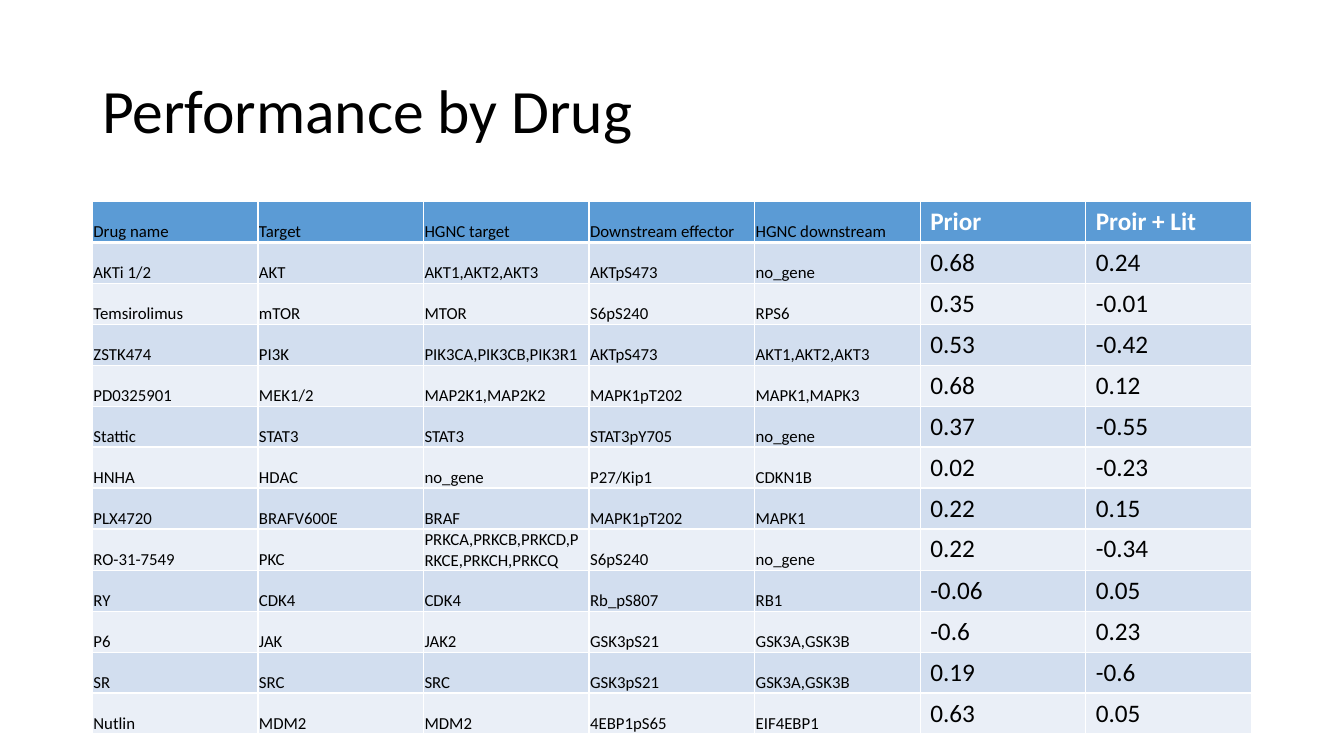
from dataclasses import astuple, dataclass

import lxml.etree
import pptx
import pptx.dml.color
import pptx.enum.text
import pptx.oxml.ns
import pptx.util

Pt = pptx.util.Pt
ANCHOR = pptx.enum.text.MSO_ANCHOR
HUES = {"ink": "000000", "white": "FFFFFF", "head": "5B9BD5", "odd": "D2DEEF", "even": "EAEFF7"}
LEFT, WIDTH = 66, 828
TOP, HEIGHT = 144, 29.23
TITLE = {"size": Pt(44), "name": "Calibri", "bold": False}
LABEL = {"size": Pt(12), "name": "Calibri", "bold": False}
SCORE = {"size": Pt(18), "name": "Calibri", "bold": False}
TIGHT = {
    "vertical_anchor": ANCHOR.BOTTOM,
    "margin_left": Pt(0.75),
    "margin_right": Pt(0.75),
    "margin_top": Pt(0.75),
    "margin_bottom": Pt(0),
}
LOOSE = {
    "vertical_anchor": ANCHOR.TOP,
    "margin_left": Pt(7.2),
    "margin_right": Pt(7.2),
    "margin_top": Pt(3.6),
    "margin_bottom": Pt(3.6),
}


@dataclass
class Drug:
    name: str
    target: str
    genes: str
    marker: str
    marker_genes: str
    prior: str
    both: str


DRUGS = [
    Drug("Drug name", "Target", "HGNC target", "Downstream effector", "HGNC downstream", "Prior", "Proir + Lit"),
    Drug("AKTi 1/2", "AKT", "AKT1,AKT2,AKT3", "AKTpS473", "no_gene", "0.68", "0.24"),
    Drug("Temsirolimus", "mTOR", "MTOR", "S6pS240", "RPS6", "0.35", "-0.01"),
    Drug("ZSTK474", "PI3K", "PIK3CA,PIK3CB,PIK3R1", "AKTpS473", "AKT1,AKT2,AKT3", "0.53", "-0.42"),
    Drug("PD0325901", "MEK1/2", "MAP2K1,MAP2K2", "MAPK1pT202", "MAPK1,MAPK3", "0.68", "0.12"),
    Drug("Stattic", "STAT3", "STAT3", "STAT3pY705", "no_gene", "0.37", "-0.55"),
    Drug("HNHA", "HDAC", "no_gene", "P27/Kip1", "CDKN1B", "0.02", "-0.23"),
    Drug("PLX4720", "BRAFV600E", "BRAF", "MAPK1pT202", "MAPK1", "0.22", "0.15"),
    Drug("RO-31-7549", "PKC", "PRKCA,PRKCB,PRKCD,PRKCE,PRKCH,PRKCQ", "S6pS240", "no_gene", "0.22", "-0.34"),
    Drug("RY", "CDK4", "CDK4", "Rb_pS807", "RB1", "-0.06", "0.05"),
    Drug("P6", "JAK", "JAK2", "GSK3pS21", "GSK3A,GSK3B", "-0.6", "0.23"),
    Drug("SR", "SRC", "SRC", "GSK3pS21", "GSK3A,GSK3B", "0.19", "-0.6"),
    Drug("Nutlin", "MDM2", "MDM2", "4EBP1pS65", "EIF4EBP1", "0.63", "0.05"),
]


def apply(item: object, format: dict) -> None:
    for key, value in format.items():
        setattr(item, key, value)


def tint(hue: str) -> pptx.dml.color.RGBColor:
    return pptx.dml.color.RGBColor.from_string(HUES[hue])


def write(frame, text: str, format: dict, hue: str):
    line = frame.paragraphs[0]
    run = line.add_run()
    run.text = text
    apply(run.font, format)
    run.font.color.rgb = tint(hue)
    return line


def edge(cell, side: str, points: float) -> None:
    qn = pptx.oxml.ns.qn
    props = cell._tc.get_or_add_tcPr()
    line = lxml.etree.SubElement(props, qn(f"a:ln{side}"), w=str(Pt(points)))
    fill = lxml.etree.SubElement(line, qn("a:solidFill"))
    lxml.etree.SubElement(fill, qn("a:srgbClr"), val=HUES["white"])


def draw_cell(cell, text: str, row: int, col: int) -> None:
    label = col < 5
    head = row == 0
    apply(cell, TIGHT if label else LOOSE)
    for side in "LRTB":
        thick = (side == "B" and head) or (side == "T" and row == 1)
        edge(cell, side, 3 if thick else 1)
    cell.fill.solid()
    cell.fill.fore_color.rgb = tint("head" if head else "odd" if row % 2 else "even")
    bold = head and not label
    format = {**(LABEL if label else SCORE), "bold": bold}
    write(cell.text_frame, text, format, "white" if bold else "ink")


def draw_title(slide) -> None:
    box = slide.shapes.add_textbox(Pt(LEFT), Pt(28.75), Pt(WIDTH), Pt(104.4))
    apply(box.text_frame, {"word_wrap": True, "vertical_anchor": ANCHOR.MIDDLE})
    write(box.text_frame, "Performance by Drug", TITLE, "ink").line_spacing = 0.9


def draw_table(slide) -> None:
    rows, cols = len(DRUGS), len(astuple(DRUGS[0]))
    frame = slide.shapes.add_table(rows, cols, Pt(LEFT), Pt(TOP), Pt(WIDTH), Pt(HEIGHT * rows))
    table = frame.table
    for col in table.columns:
        col.width = Pt(WIDTH / cols)
    for row, drug in enumerate(DRUGS):
        table.rows[row].height = Pt(HEIGHT)
        for col, text in enumerate(astuple(drug)):
            draw_cell(table.cell(row, col), text, row, col)


def main() -> None:
    deck = pptx.Presentation()
    apply(deck, {"slide_width": Pt(960), "slide_height": Pt(540)})
    slide = deck.slides.add_slide(deck.slide_layouts[6])
    draw_title(slide)
    draw_table(slide)
    deck.save("out.pptx")


if __name__ == "__main__":
    main()
